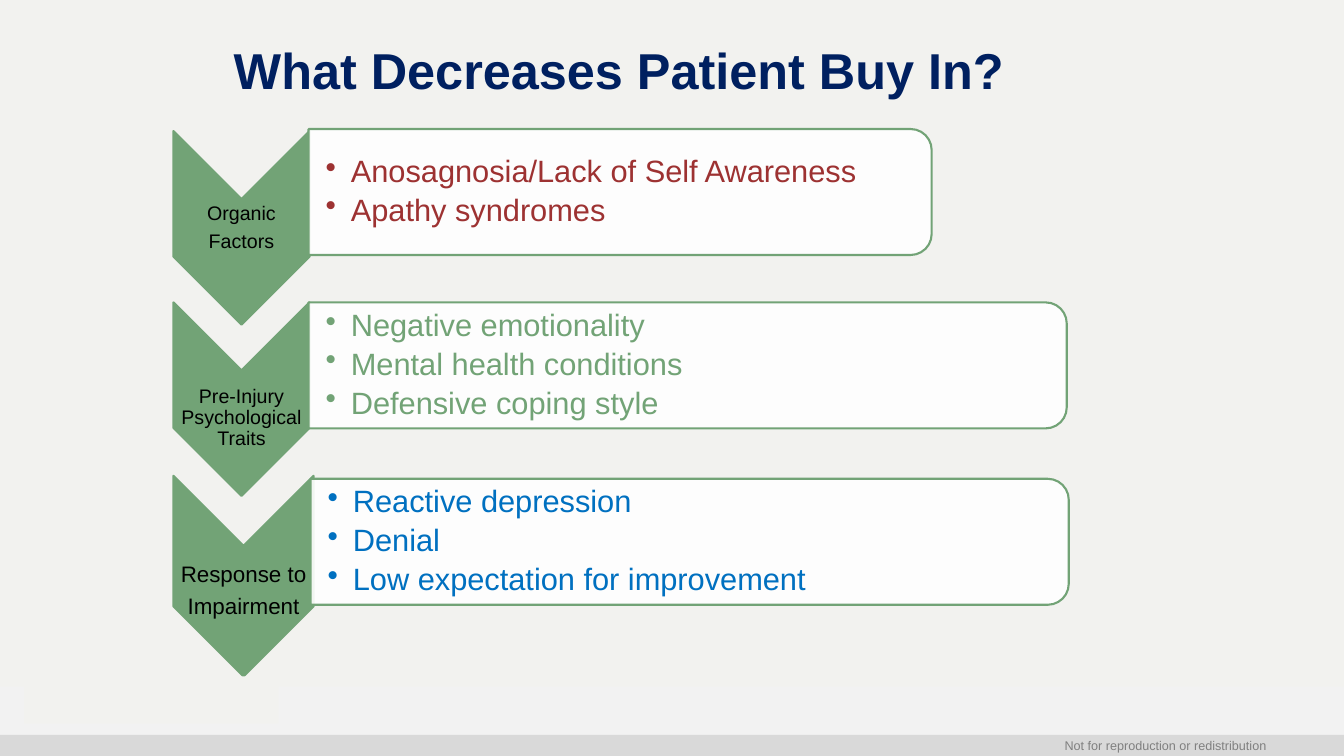
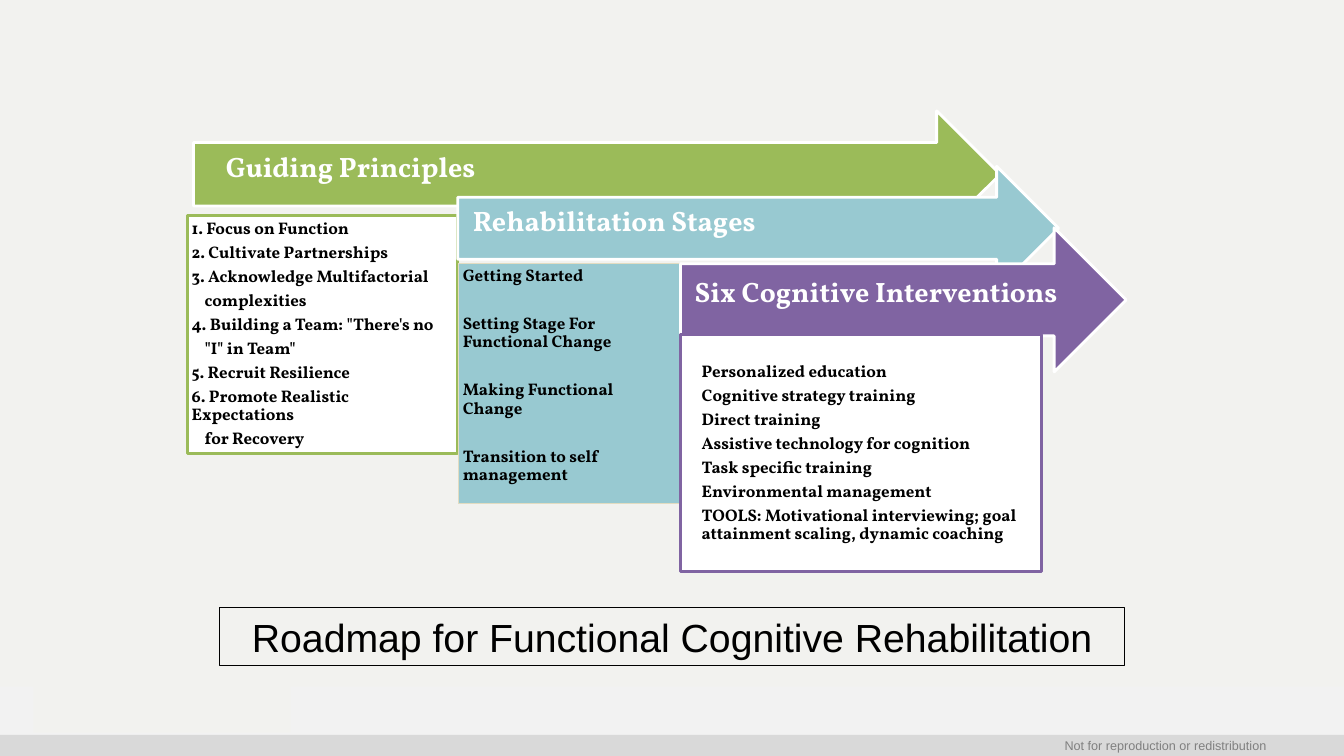
"""Build two slides on patient buy-in and cognitive rehabilitation."""
from lxml.etree import SubElement
from pptx import Presentation
from pptx.dml.color import RGBColor
from pptx.enum.shapes import MSO_SHAPE
from pptx.enum.text import MSO_ANCHOR, PP_ALIGN
from pptx.oxml.ns import qn
from pptx.util import Inches, Pt

WIDE, HIGH = 13.33, 7.5
PAPER = RGBColor(0xF2, 0xF2, 0xEF)
MIST = RGBColor(0xF2, 0xF2, 0xF2)
SILVER = RGBColor(0xD9, 0xD9, 0xD9)
GREY = RGBColor(0x80, 0x80, 0x80)
WHITE = RGBColor(0xFF, 0xFF, 0xFF)
BLACK = RGBColor(0, 0, 0)
NAVY = RGBColor(0x00, 0x20, 0x60)
SAGE = RGBColor(0x72, 0xA3, 0x76)
RED = RGBColor(0x9D, 0x32, 0x32)
BLUE = RGBColor(0x00, 0x70, 0xC0)
LIME = RGBColor(0x9B, 0xBB, 0x59)
AQUA = RGBColor(0x98, 0xC9, 0xD1)
SAND = RGBColor(0xE2, 0xDC, 0xC1)
PLUM = RGBColor(0x80, 0x64, 0xA2)
SANS, SERIF = "Arial", "Vollkorn"

FOOTER = "Not for reproduction or redistribution"
TITLE = "What Decreases Patient Buy In?"
FACTORS = [
    dict(label=["Organic", "Factors"], size=14, drop=0,
         chevron=(1.72, 1.3, 1.35, 1.92), bar=(3.06, 1.28, 6.18, 1.25), color=RED,
         points=["Anosagnosia/Lack of Self Awareness", "Apathy syndromes"]),
    dict(label=["Pre-Injury Psychological Traits"], size=14, drop=0.19,
         chevron=(1.72, 3, 1.35, 1.92), bar=(3.06, 3, 7.52, 1.25), color=SAGE,
         points=["Negative emotionality", "Mental health conditions",
                 "Defensive coping style"]),
    dict(label=["Response to", "Impairment"], size=16, drop=0.19,
         chevron=(1.72, 4.72, 1.39, 1.99), bar=(3.08, 4.75, 7.52, 1.25), color=BLUE,
         points=["Reactive depression", "Denial",
                 "Low expectation for improvement"]),
]
ROADMAP = "Roadmap for Functional Cognitive Rehabilitation"
STAGES = [
    dict(head="Guiding Principles", arrow=(1.92, 1.1, 8, 1.26), color=LIME, inset=0.32,
         panel=(1.86, 2.14, 2.68, 2.36), fill=WHITE, line=(LIME, 2),
         pad=(0.04, 0.04, 0.15, 0.04), gap=4.2, nested=(3, 5, 8),
         items=["1. Focus on Function", "2. Cultivate Partnerships",
                "3. Acknowledge Multifactorial", "complexities",
                "4. Building a Team: \"There's no", "\"I\" in Team\"",
                "5. Recruit Resilience", "6. Promote Realistic Expectations",
                "for Recovery"]),
    dict(head="Rehabilitation Stages", arrow=(4.54, 1.65, 5.96, 1.23), color=AQUA,
         inset=0.15, panel=(4.55, 2.61, 2.2, 2.39), fill=AQUA, line=(SAND, 0.75),
         pad=(0.04, 0.04, 0.04, 0.04), gap=21.4, nested=(),
         items=["Getting Started", "Setting Stage For Functional Change",
                "Making Functional Change", "Transition to self management"]),
    dict(head="Six Cognitive Interventions", arrow=(6.75, 2.26, 4.42, 1.43), color=PLUM,
         inset=0.14, panel=(6.75, 3.32, 3.58, 2.35), fill=WHITE, line=(PLUM, 2),
         pad=(0.21, 0.28, 0.04, 0.04), gap=4.2, nested=(),
         items=["Personalized education", "Cognitive strategy training",
                "Direct training", "Assistive technology for cognition",
                "Task specific training", "Environmental management",
                "TOOLS: Motivational interviewing; goal attainment scaling, "
                "dynamic coaching"]),
]


def draw(slide, kind, box, fill=None, line=None, turn=0):
    """Add a shape whose box is given as it looks after turning."""
    left, top, wide, high = box
    if turn:
        left, top = left + (wide - high) / 2, top + (high - wide) / 2
        wide, high = high, wide
    shape = slide.shapes.add_shape(kind, *map(Inches, (left, top, wide, high)))
    shape.rotation = turn
    shape.shadow.inherit = False
    if fill is None:
        shape.fill.background()
    else:
        shape.fill.solid()
        shape.fill.fore_color.rgb = fill
    if line is None:
        shape.line.fill.background()
    else:
        shape.line.color.rgb, shape.line.width = line[0], Pt(line[1])
    return shape


def write(shape, lines, size, color, font=SANS, bold=False, align=PP_ALIGN.LEFT,
          anchor=MSO_ANCHOR.MIDDLE, pad=(0.1, 0.05, 0.1, 0.05), gap=0, space=1):
    """Put styled lines into a shape and return its paragraphs."""
    frame = shape.text_frame
    frame.text = "\n".join(lines)
    frame.word_wrap, frame.vertical_anchor = True, anchor
    (frame.margin_left, frame.margin_top,
     frame.margin_right, frame.margin_bottom) = map(Inches, pad)
    for para in frame.paragraphs:
        para.alignment, para.line_spacing, para.space_after = align, space, Pt(gap)
        for run in para.runs:
            run.font.name, run.font.size, run.font.bold = font, Pt(size), bold
            run.font.color.rgb = color
    return frame.paragraphs


def label(slide, box, lines, size, color, **style):
    """Add a text box."""
    shape = slide.shapes.add_textbox(*map(Inches, box))
    return write(shape, lines, size, color, **style)


def indent(para, left, bullet=False):
    """Indent a paragraph, with a hanging bullet if asked."""
    props = para._p.get_or_add_pPr()
    props.set("marL", str(Inches(left)))
    if bullet:
        props.set("indent", str(-Inches(left)))
        SubElement(props, qn("a:buChar")).set("char", "•")


def dress(layout, slide):
    """Give the layout its background, bands and footer."""
    layout.background.fill.solid()
    layout.background.fill.fore_color.rgb = PAPER
    tree = layout.shapes.element
    for holder in list(layout.placeholders):
        tree.remove(holder.element)
    base = draw(slide, MSO_SHAPE.RECTANGLE, (0, 6.81, WIDE, HIGH - 6.81), MIST)
    band = draw(slide, MSO_SHAPE.RECTANGLE, (0, 7.29, WIDE, HIGH - 7.29), SILVER)
    write(band, [FOOTER], 9, GREY, align=PP_ALIGN.RIGHT, pad=(0, 0, 0.77, 0))
    for shape in (base, band):
        tree.append(shape.element)


def factors(slide):
    """Draw the chevron list."""
    for row in FACTORS:
        left, top, wide, high = row["chevron"]
        draw(slide, MSO_SHAPE.CHEVRON, row["chevron"], SAGE, (SAGE, 1.5), 90)
        label(slide, (left, top + 0.67 + row["drop"], wide, 0.58), row["label"],
              row["size"], BLACK, align=PP_ALIGN.CENTER, pad=(0.01,) * 4,
              gap=0.35 * row["size"], space=0.9)
        bar = draw(slide, MSO_SHAPE.ROUND_2_SAME_RECTANGLE, row["bar"],
                   WHITE, (SAGE, 1.5), 90)
        tint = bar.element.spPr.find(qn("a:solidFill"))[0]
        SubElement(tint, qn("a:alpha")).set("val", "90000")
        for para in label(slide, row["bar"], row["points"], 22, row["color"],
                          pad=(0.17, 0.02, 0.02, 0.02), gap=4, space=0.9):
            indent(para, 0.25, True)
    label(slide, (2.22, 0.33, 9.06, 0.71), [TITLE], 36, NAVY, bold=True)
    draw(slide, MSO_SHAPE.RECTANGLE, (0.24, 6.71, 2.52, 0.47), PAPER)


def stages(slide):
    """Draw the stepped arrows with their panels."""
    for step in STAGES:
        arrow = draw(slide, MSO_SHAPE.RIGHT_ARROW, step["arrow"], step["color"],
                     (WHITE, 2))
        write(arrow, [step["head"]], 20, WHITE, font=SERIF, bold=True,
              pad=(step["inset"], 0.05, 0.1, 0.17), space=0.9)
        panel = draw(slide, MSO_SHAPE.RECTANGLE, step["panel"], step["fill"],
                     step["line"])
        paras = write(panel, step["items"], 12, BLACK, font=SERIF, bold=True,
                      anchor=MSO_ANCHOR.TOP, pad=step["pad"], gap=step["gap"],
                      space=0.9)
        for spot in step["nested"]:
            indent(paras[spot], 0.13)
    sign = draw(slide, MSO_SHAPE.RECTANGLE, (2.18, 6.03, 8.97, 0.57), None, (BLACK, 0.75))
    write(sign, [ROADMAP], 28, BLACK, align=PP_ALIGN.CENTER)
    draw(slide, MSO_SHAPE.RECTANGLE, (0.33, 6.74, 2.55, 0.53), PAPER)


def main():
    """Build and save the slides."""
    deck = Presentation()
    deck.slide_width, deck.slide_height = Inches(WIDE), Inches(HIGH)
    layout = deck.slide_layouts[6]
    first, second = (deck.slides.add_slide(layout) for _ in range(2))
    dress(layout, first)
    factors(first)
    stages(second)
    deck.save("out.pptx")


if __name__ == "__main__":
    main()
